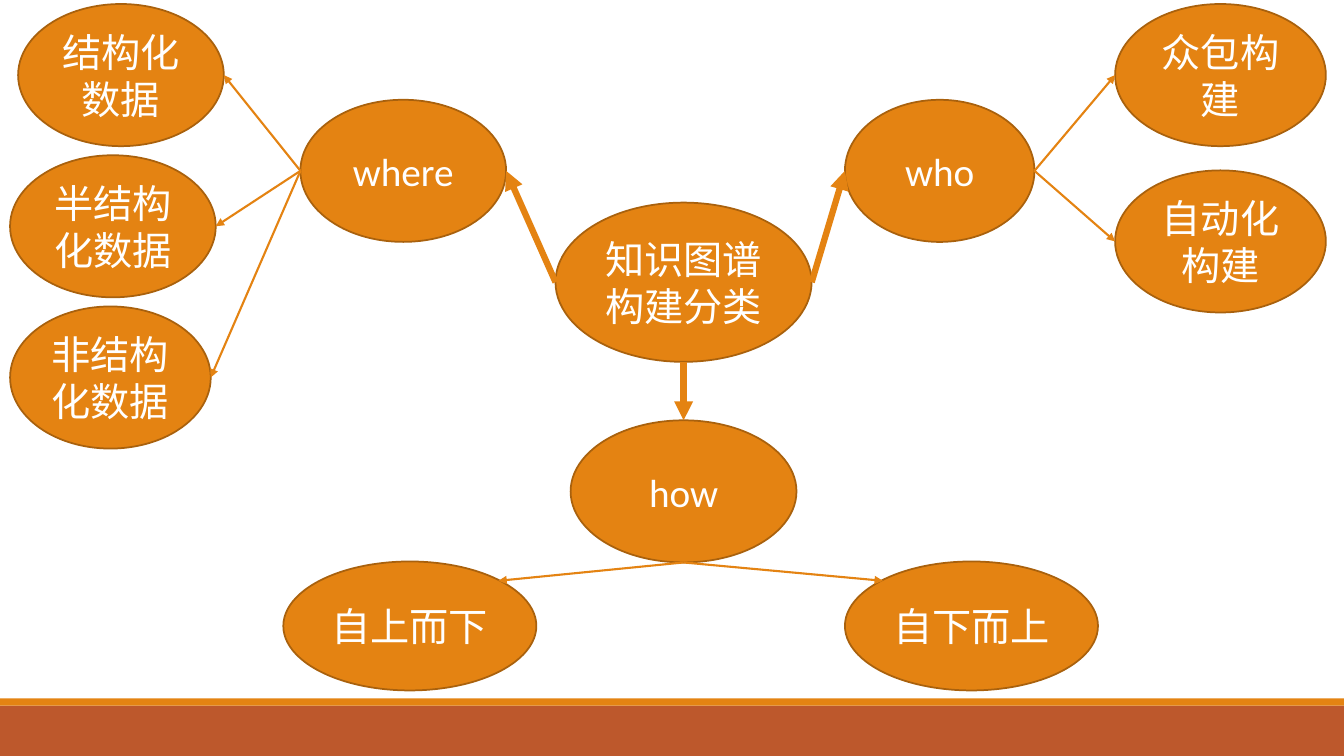
"""Build a mind map of the ways to construct a knowledge graph."""
from lxml import etree
from pptx import Presentation
from pptx.dml.color import RGBColor
from pptx.enum.shapes import MSO_CONNECTOR as Link, MSO_SHAPE as Form
from pptx.enum.text import MSO_ANCHOR as Anchor, PP_ALIGN as Align
from pptx.oxml.ns import qn
from pptx.util import Inches, Pt

ORANGE, BROWN, RUST, WHITE = "E48312", "A9610D", "BD582C", "FFFFFF"


def tint(code):
    return RGBColor.from_string(code)


def draw(form, box, fill):
    shape = deck.shapes.add_shape(form, *map(Inches, box))
    shape.shadow.inherit = False
    shape.fill.solid()
    shape.fill.fore_color.rgb = tint(fill)
    shape.line.fill.background()
    return shape


show = Presentation()
show.slide_width, show.slide_height = Inches(13.33), Inches(7.5)
deck = show.slides.add_slide(show.slide_layouts[6])

draw(Form.RECTANGLE, (0, 7, 13.33, 0.5), RUST)
draw(Form.RECTANGLE, (0, 6.93, 13.33, 0.07), ORANGE)

nodes = {
    "知识图谱构建分类": (5.51, 2.01, 2.54, 1.58),
    "自下而上": (8.38, 5.57, 2.51, 1.28),
    "自上而下": (2.81, 5.57, 2.51, 1.28),
    "结构化数据": (0.18, 0.04, 2.04, 1.41),
    "半结构化数据": (0.1, 1.54, 2.04, 1.41),
    "where": (2.98, 0.99, 2.04, 1.41),
    "how": (5.66, 4.17, 2.24, 1.41),
    "who": (8.38, 0.99, 1.88, 1.41),
    "众包构建": (11.06, 0.04, 2.09, 1.41),
    "自动化构建": (11.06, 1.69, 2.09, 1.41),
    "非结构化数据": (0.1, 3.04, 1.99, 1.41),
}
for label, box in nodes.items():
    oval = draw(Form.OVAL, box, ORANGE)
    oval.line.color.rgb = tint(BROWN)
    oval.line.width = Pt(1.25)
    frame = oval.text_frame
    frame.word_wrap = True
    frame.vertical_anchor = Anchor.MIDDLE
    frame.text = label
    para = frame.paragraphs[0]
    para.alignment = Align.CENTER
    font = para.runs[0].font
    font.name, font.size = "Calibri", Pt(28)
    font.color.rgb = tint(WHITE)

sides = {
    "left": (0, 0.5),
    "right": (1, 0.5),
    "top": (0.5, 0),
    "bottom": (0.5, 1),
    "top left": (0.15, 0.15),
    "top right": (0.85, 0.15),
}
arrows = [
    ("where", "left", "结构化数据", "right", 1.5),
    ("where", "left", "半结构化数据", "right", 1.5),
    ("知识图谱构建分类", "left", "where", "right", 4.5),
    ("知识图谱构建分类", "bottom", "how", "top", 4.5),
    ("知识图谱构建分类", "right", "who", "left", 4.5),
    ("who", "right", "众包构建", "left", 1.5),
    ("who", "right", "自动化构建", "left", 1.5),
    ("where", "left", "非结构化数据", "right", 1.5),
    ("how", "bottom", "自上而下", "top right", 1.5),
    ("how", "bottom", "自下而上", "top left", 1.5),
]
for start, exit, end, entry, width in arrows:
    ends = []
    for name, side in ((start, exit), (end, entry)):
        x, y, w, h = nodes[name]
        across, down = sides[side]
        ends += [Inches(x + w * across), Inches(y + h * down)]
    arrow = deck.shapes.add_connector(Link.STRAIGHT, *ends)
    arrow.line.color.rgb = tint(ORANGE)
    arrow.line.width = Pt(width)
    etree.SubElement(arrow.line._get_or_add_ln(), qn("a:tailEnd"), type="triangle")
    etree.SubElement(arrow._element.spPr, qn("a:effectLst"))

show.save("out.pptx")
